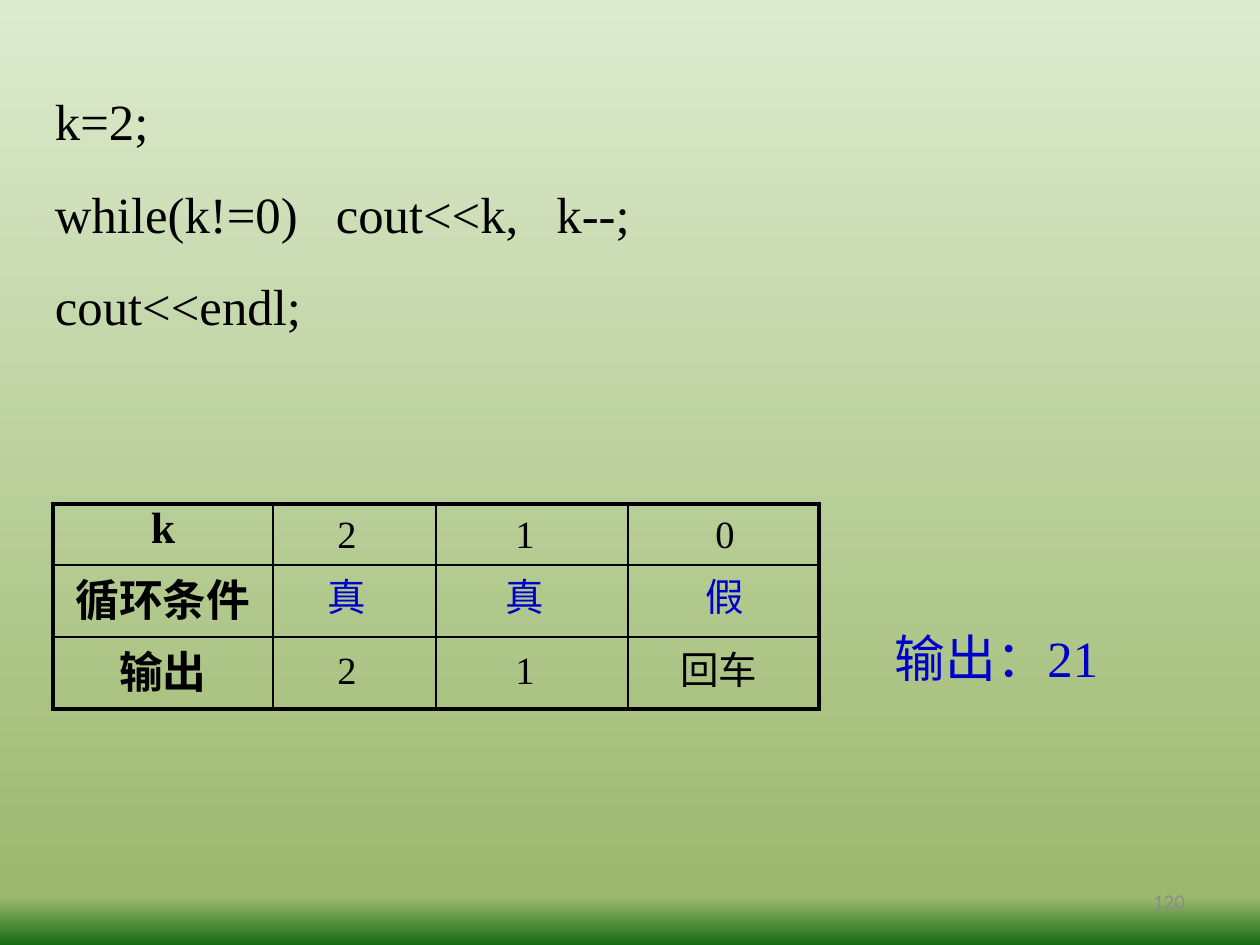
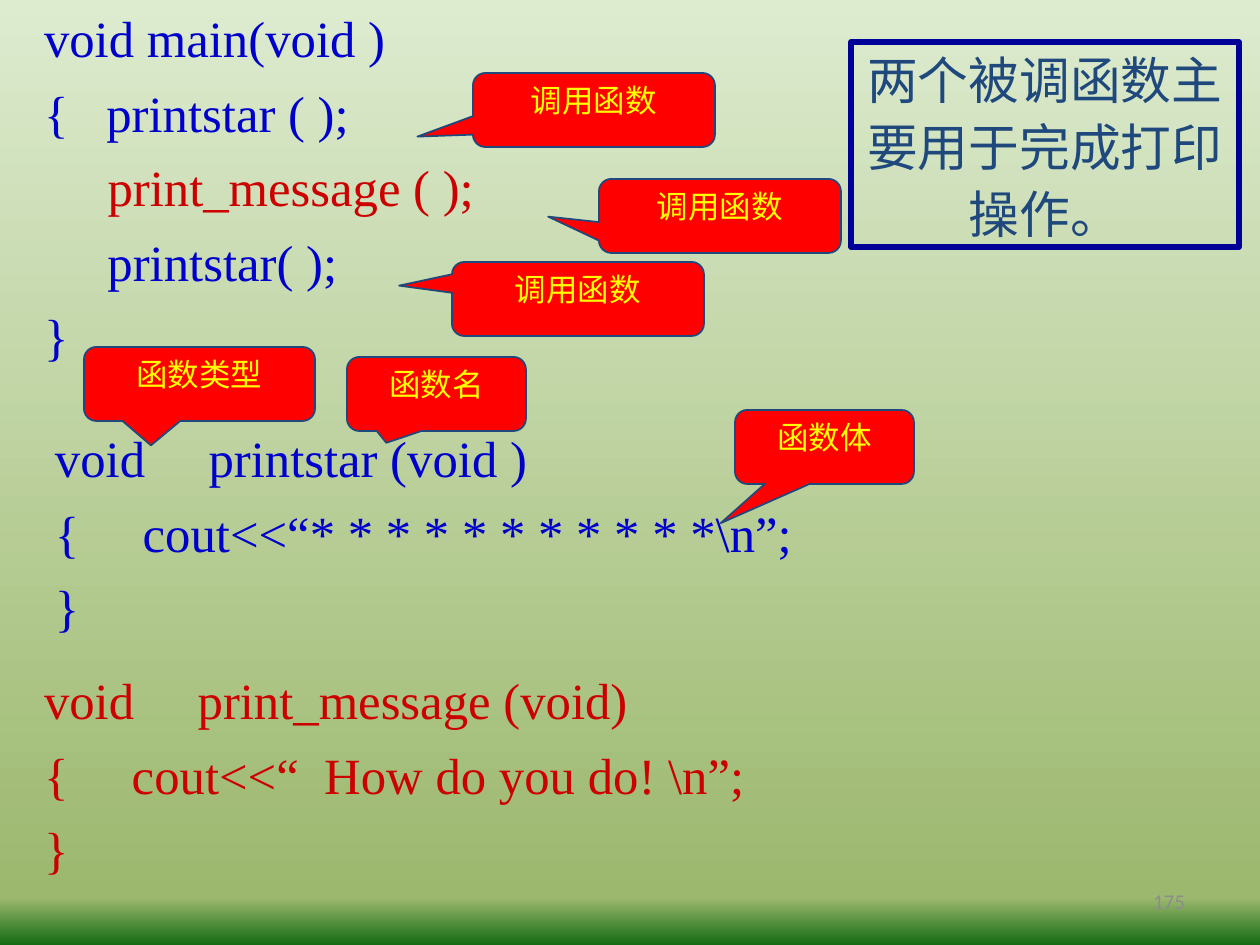
"""Build two slides on C++ loops and function calls."""
from lxml.etree import SubElement
from pptx import Presentation
from pptx.dml.color import RGBColor
from pptx.enum.shapes import MSO_SHAPE
from pptx.enum.text import MSO_ANCHOR, PP_ALIGN
from pptx.oxml.ns import qn
from pptx.util import Emu, Pt

PX = 914400 / 126
C = {"black": "000000", "blue": "0000CC", "red": "CC0000", "navy": "1F497D",
     "frame": "000099", "callout": "FF0000", "yellow": "FFFF00", "gray": "8C8C8C"}
BACKGROUND = [(0, "DDEBCF"), (95, "9CB86E"), (100, "156B13")]
SERIF, SANS = "Times New Roman", "Calibri"
TIGHT, NORMAL = (2, 1), (12, 6)
LINE_SPACING = 1.1

LOOP_CODE = ["k=2;", "while(k!=0)   cout<<k,   k--;", "cout<<endl;"]
LOOP_OUTPUT = "输出：21"
ROW_LABELS = ["k", "循环条件", "输出"]
TRACE = [["2", "1", "0"], ["真", "真", "假"], ["2", "1", "回车"]]
TABLE_AT = (53, 504)
COL_WIDTHS, ROW_HEIGHTS = [220, 163, 192, 191], [61, 72, 72]
TRACE_LEFTS, TRACE_TOPS = [305, 483, 683], [504, 567, 640]
WIDE_LEFT = 651

FUNCTIONS = [
    ((42, 0, 850, 378), "blue",
     ["void main(void )", "{   printstar ( );",
      [("     ", "blue"), ("print_message ( );", "red")],
      "     printstar( );", "}"]),
    ((53, 420, 1144, 224), "blue",
     ["void     printstar (void )", "{     cout<<“* * * * * * * * * * *\\n”;", "}"]),
    ((42, 662, 1113, 224), "red",
     ["void     print_message (void)", "{     cout<<“  How do you do! \\n”;", "}"]),
]
CALLOUTS = [
    ("调用函数", (473, 73, 242, 74), (-0.73, 0.36)),
    ("调用函数", (599, 179, 242, 74), (-0.71, 0.01)),
    ("调用函数", (452, 262, 252, 74), (-0.71, -0.18)),
    ("函数类型", (84, 347, 231, 74), (-0.21, 0.83)),
    ("函数名", (347, 357, 179, 74), (-0.28, 0.66)),
    ("函数体", (735, 410, 179, 74), (-0.58, 1.03)),
]
SUMMARY = "两个被调函数主要用于完成打印操作。"


def px(n):
    return Emu(round(n * PX))


def rgb(name):
    return RGBColor.from_string(C[name])


def write(tf, lines, size=29, color="black", font=SERIF, bold=False, align=PP_ALIGN.LEFT,
          spacing=None, before=0, inset=TIGHT, anchor=MSO_ANCHOR.TOP):
    tf.word_wrap = True
    tf.vertical_anchor = anchor
    tf.margin_left = tf.margin_right = px(inset[0])
    tf.margin_top = tf.margin_bottom = px(inset[1])
    for i, line in enumerate(lines):
        p = tf.add_paragraph() if i else tf.paragraphs[0]
        p.alignment = align
        if spacing:
            p.line_spacing = spacing
        if i and before:
            p.space_before = Pt(before)
        for text, tint in [(line, color)] if isinstance(line, str) else line:
            r = p.add_run()
            r.text = text
            r.font.size, r.font.name, r.font.bold = Pt(size), font, bold
            r.font.color.rgb = rgb(tint)


def text_box(s, at, lines, **fmt):
    write(s.shapes.add_textbox(*map(px, at)).text_frame, lines, **fmt)


def add_panel(s, kind, at, text, line, width, fill=None, **fmt):
    sp = s.shapes.add_shape(kind, *map(px, at))
    sp.shadow.inherit = False
    if fill:
        sp.fill.solid()
        sp.fill.fore_color.rgb = rgb(fill)
    else:
        sp.fill.background()
    sp.line.color.rgb, sp.line.width = rgb(line), Pt(width)
    write(sp.text_frame, [text], align=PP_ALIGN.CENTER, spacing=LINE_SPACING, **fmt)
    return sp


def set_background(master):
    fill = master.background.fill
    fill.gradient()
    fill.gradient_angle = 270
    stops = next(master.element.iter(qn("a:gsLst")))
    stops.clear()
    for pos, color in BACKGROUND:
        gs = SubElement(stops, qn("a:gs"), pos=str(pos * 1000))
        SubElement(gs, qn("a:srgbClr"), val=color)


def set_borders(cell, outer):
    tc_pr = cell._tc.get_or_add_tcPr()
    for i, side in enumerate(("lnL", "lnR", "lnT", "lnB")):
        width = Pt(2.25 if outer[i] else 1)
        ln = SubElement(tc_pr, qn(f"a:{side}"), w=str(width))
        fill = SubElement(ln, qn("a:solidFill"))
        SubElement(fill, qn("a:srgbClr"), val=C["black"])


def add_trace_table(s):
    rows, cols = len(ROW_HEIGHTS), len(COL_WIDTHS)
    size = sum(COL_WIDTHS), sum(ROW_HEIGHTS)
    table = s.shapes.add_table(rows, cols, *map(px, TABLE_AT + size)).table
    table.first_row = table.horz_banding = False
    for col, width in zip(table.columns, COL_WIDTHS):
        col.width = px(width)
    for i, height in enumerate(ROW_HEIGHTS):
        table.rows[i].height = px(height)
        for j in range(cols):
            cell = table.cell(i, j)
            set_borders(cell, (j == 0, j == cols - 1, i == 0, i == rows - 1))
            cell.fill.background()
        label = table.cell(i, 0)
        label.margin_left = label.margin_right = px(TIGHT[0])
        label.margin_top = label.margin_bottom = px(TIGHT[1])
        p = label.text_frame.paragraphs[0]
        p.alignment = PP_ALIGN.CENTER
        r = p.add_run()
        r.text = ROW_LABELS[i]
        r.font.size, r.font.name, r.font.bold = Pt(25), SERIF, True
        r.font.color.rgb = rgb("black")


def new_slide(prs, number):
    s = prs.slides.add_slide(prs.slide_layouts[6])
    text_box(s, (903, 876, 294, 50), [number], size=12, color="gray", font=SANS,
             align=PP_ALIGN.RIGHT, inset=NORMAL, anchor=MSO_ANCHOR.MIDDLE)
    return s


def build_loop_slide(prs):
    s = new_slide(prs, "120")
    text_box(s, (53, 83, 725, 267), LOOP_CODE, spacing=LINE_SPACING, before=14.5)
    add_trace_table(s)
    text_box(s, (893, 620, 262, 71), [LOOP_OUTPUT], color="blue", spacing=LINE_SPACING)
    for i, (top, values) in enumerate(zip(TRACE_TOPS, TRACE)):
        for left, value in zip(TRACE_LEFTS, values):
            at = (left, top, 84, 58) if len(value) == 1 else (WIDE_LEFT, top, 136, 58)
            text_box(s, at, [value], size=22, color="blue" if i == 1 else "black",
                     align=PP_ALIGN.CENTER, inset=NORMAL)


def build_function_slide(prs):
    s = new_slide(prs, "175")
    for at, color, lines in FUNCTIONS:
        text_box(s, at, lines, color=color, spacing=LINE_SPACING, before=4.35)
    for text, at, tip in CALLOUTS:
        sp = add_panel(s, MSO_SHAPE.ROUNDED_RECTANGULAR_CALLOUT, at, text, "navy", 1,
                       fill="callout", size=18, color="yellow", font=SANS)
        sp.adjustments[0], sp.adjustments[1] = tip
    add_panel(s, MSO_SHAPE.RECTANGLE, (851, 42, 388, 205), SUMMARY, "frame", 3, color="navy")


def main():
    prs = Presentation()
    prs.slide_width, prs.slide_height = px(1260), px(945)
    set_background(prs.slide_master)
    build_loop_slide(prs)
    build_function_slide(prs)
    prs.save("out.pptx")


if __name__ == "__main__":
    main()
